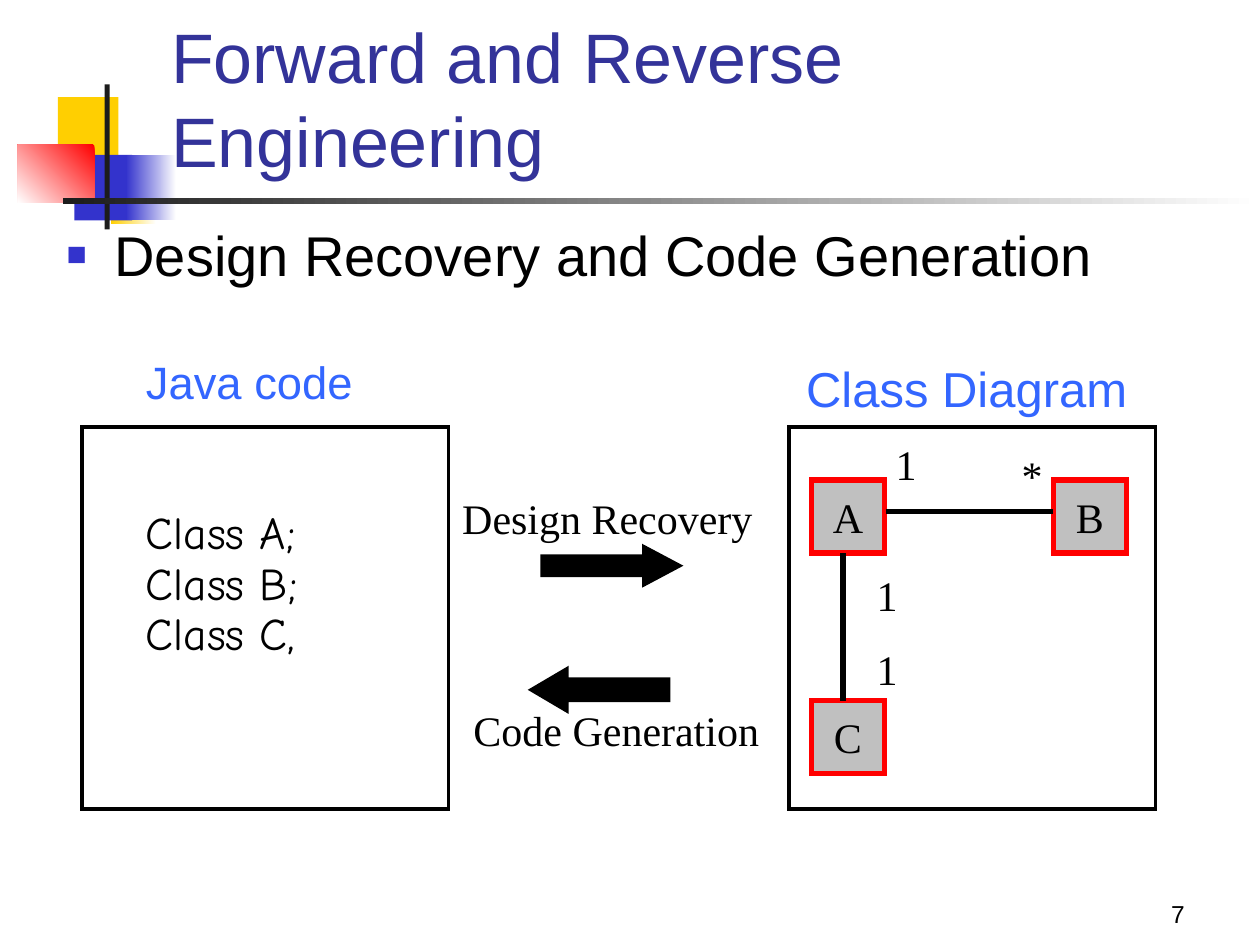
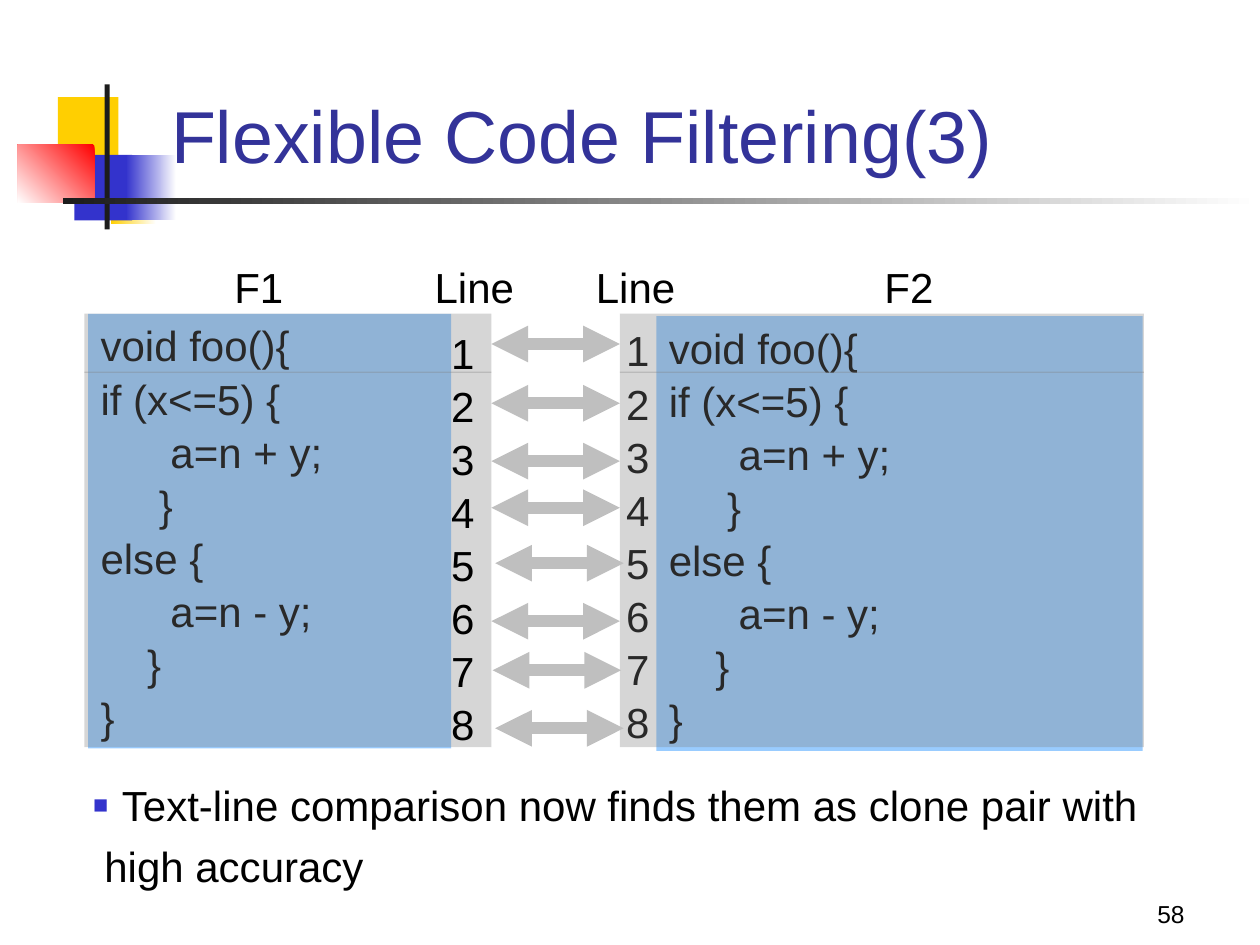
from dataclasses import dataclass

from lxml.etree import SubElement
from pptx import Presentation
from pptx.dml.color import RGBColor
from pptx.enum.shapes import MSO_CONNECTOR, MSO_SHAPE
from pptx.enum.text import MSO_ANCHOR, PP_ALIGN
from pptx.oxml.ns import qn
from pptx.util import Inches, Pt


@dataclass(frozen=True)
class Theme:
    black: str = "000000"
    white: str = "FFFFFF"
    ink: str = "1C1C1C"
    title: str = "333399"
    blue: str = "3333CC"
    gold: str = "FFCF01"
    red: str = "FF0000"
    label: str = "3366FF"
    node: str = "C0C0C0"
    code: str = "99CCFF"
    veil: str = "808080"
    arrow: str = "BFBFBF"
    sans: str = "Arial"
    serif: str = "Times New Roman"
    comic: str = "Comic Neue"
    large: float = 42
    head: float = 40
    lead: float = 32
    sub: float = 28
    java: float = 25.9
    text: float = 24
    foot: float = 14


class Deck:
    def __init__(self, theme):
        self.theme = theme
        self.file = Presentation()
        self.file.slide_width = Inches(10)
        self.file.slide_height = Inches(7.5)
        self.slide = None

    def page(self, title, number, size, bottom):
        """Start a slide with the shared ornament, title and page number."""
        t = self.theme
        self.slide = self.file.slides.add_slide(self.file.slide_layouts[6])
        self.box(0.46, 0.77, 0.48, 0.52, t.gold)
        self.fade(0.88, 1.26, 0.36, 0.52, t.white, t.gold)
        self.box(0.59, 1.23, 0.46, 0.52, t.blue)
        self.fade(1, 1.23, 0.4, 0.52, t.white, t.blue)
        self.fade(0.14, 1.15, 0.61, 0.46, t.red, t.white, 225)
        self.box(0.83, 0.67, 0.04, 1.15, t.ink)
        self.fade(0.5, 1.57, 9.5, 0.05, t.white, t.ink)
        self.text(7.42, 6.92, 2.08, 0.5, [number], t.foot,
                  align=PP_ALIGN.RIGHT, anchor=MSO_ANCHOR.BOTTOM)
        self.text(1.26, 0.15, 8.52, bottom - 0.15, [title], size, t.title,
                  anchor=MSO_ANCHOR.BOTTOM)

    def box(self, x, y, w, h, fill=None, line=None, width=0,
            kind=MSO_SHAPE.RECTANGLE):
        shape = self.slide.shapes.add_shape(
            kind, Inches(x), Inches(y), Inches(w), Inches(h))
        shape.shadow.inherit = False
        if fill:
            shape.fill.solid()
            shape.fill.fore_color.rgb = RGBColor.from_string(fill)
        else:
            shape.fill.background()
        if line:
            shape.line.color.rgb = RGBColor.from_string(line)
            shape.line.width = Pt(width)
            SubElement(shape.line._ln, qn("a:miter"), lim="800000")
        else:
            shape.line.fill.background()
        return shape

    def fade(self, x, y, w, h, start, end, angle=180):
        shape = self.box(x, y, w, h)
        shape.fill.gradient()
        shape.fill.gradient_angle = angle
        for stop, color in zip(shape.fill.gradient_stops, (start, end)):
            stop.color.rgb = RGBColor.from_string(color)

    def veil(self, x, y, w, h):
        """Lay a translucent grey sheet over what is below."""
        shape = self.box(x, y, w, h, self.theme.veil)
        color = shape._element.spPr.find(".//" + qn("a:srgbClr"))
        SubElement(color, qn("a:alpha"), val="32000")

    def arrow(self, kind, x, y, w, h, head):
        black = self.theme.black
        shape = self.box(x, y, w, h, black, black, 3, kind)
        shape.adjustments[1] = head

    def line(self, x1, y1, x2, y2, color, width, heads=False):
        link = self.slide.shapes.add_connector(
            MSO_CONNECTOR.STRAIGHT,
            Inches(x1), Inches(y1), Inches(x2), Inches(y2))
        link.line.color.rgb = RGBColor.from_string(color)
        link.line.width = Pt(width)
        if heads:
            for end in ("a:headEnd", "a:tailEnd"):
                SubElement(link.line._ln, qn(end), type="triangle")
        SubElement(link._element.spPr, qn("a:effectLst"))

    def text(self, x, y, w, h, lines, size, color=None, **style):
        shape = self.slide.shapes.add_textbox(
            Inches(x), Inches(y), Inches(w), Inches(h))
        return self.fill(shape, lines, size, color, **style)

    def fill(self, shape, lines, size, color=None, font=None, inset=0.1,
             align=PP_ALIGN.LEFT, anchor=MSO_ANCHOR.TOP, gap=0, pitch=None):
        """Write the lines into a shape; return its paragraphs."""
        frame = shape.text_frame
        frame.text = "\n".join(lines)
        frame.word_wrap = True
        frame.vertical_anchor = anchor
        frame.margin_left = frame.margin_right = Inches(inset)
        frame.margin_top = frame.margin_bottom = Inches(0.05)
        for i, para in enumerate(frame.paragraphs):
            para.alignment = align
            para.space_before = Pt(gap if i else 0)
            if pitch:
                para.line_spacing = pitch
            for run in para.runs:
                run.font.size = Pt(size)
                run.font.name = font or self.theme.sans
                run.font.color.rgb = RGBColor.from_string(
                    color or self.theme.black)
        return frame.paragraphs

    def bullet(self, para, indent):
        props = para._p.get_or_add_pPr()
        props.set("marL", str(Inches(indent)))
        props.set("indent", str(-Inches(indent)))
        color = SubElement(props, qn("a:buClr"))
        SubElement(color, qn("a:srgbClr"), val=self.theme.blue)
        SubElement(props, qn("a:buSzPct"), val="60000")
        SubElement(props, qn("a:buFont"), typeface=self.theme.sans)
        SubElement(props, qn("a:buChar"), char="■")

    def node(self, x, y, name):
        t = self.theme
        shape = self.box(x, y, 0.58, 0.58, t.node, t.red, 3)
        self.fill(shape, [name], t.text, font=t.serif,
                  align=PP_ALIGN.CENTER, anchor=MSO_ANCHOR.MIDDLE)

    def note(self, x, y, w, words):
        self.text(x, y, w, 0.5, [words], self.theme.text,
                  font=self.theme.serif)


def forward(deck):
    t = deck.theme
    deck.page("Forward and Reverse Engineering", "7", t.head, 1.49)
    topic = deck.text(0.43, 1.7, 9.29, 0.7,
                      ["Design Recovery and Code Generation"], t.lead)
    deck.bullet(topic[0], 0.38)

    deck.text(1.06, 2.76, 2.29, 0.5, ["Java code"], t.java, t.label)
    deck.text(1.06, 3.98, 2.29, 1.4, ["Class A;", "Class B;", "Class C,"],
              t.java, font=t.comic, pitch=Pt(29))
    deck.text(6.3, 2.8, 3.1, 0.57, ["Class Diagram"], t.sub, t.label)

    for x, y, name in ((6.44, 3.81, "A"), (6.44, 5.56, "C"),
                       (8.36, 3.81, "B")):
        deck.node(x, y, name)
    deck.line(7.03, 4.06, 8.36, 4.06, t.black, 3)
    deck.line(6.69, 4.39, 6.69, 5.56, t.black, 3)
    for x, y, count in ((6.86, 4.47, "1"), (6.86, 5.06, "1"),
                        (7.01, 3.43, "1"), (8.01, 3.52, "*")):
        deck.note(x, y, 0.4, count)

    deck.arrow(MSO_SHAPE.RIGHT_ARROW, 4.31, 4.35, 1.07, 0.28, 0.94)
    deck.note(3.57, 3.86, 2.8, "Design Recovery")
    deck.arrow(MSO_SHAPE.LEFT_ARROW, 4.23, 5.32, 1.07, 0.31, 0.85)
    deck.note(3.66, 5.54, 2.8, "Code Generation")
    for x in (6.26, 0.65):
        deck.box(x, 3.39, 2.91, 3.03, line=t.black, width=2)


def flexible(deck):
    t = deck.theme
    deck.page("Flexible Code Filtering(3)", "58", t.large, 1.46)
    code = ["void foo(){", "if (x<=5) {", "      a=n + y;", "     }",
            "else {", "      a=n - y;", "    }", "}"]
    count = [str(n + 1) for n in range(len(code))]

    def block(x, y, w):
        deck.fill(deck.box(x, y, w, 3.45, t.code), code, t.text, gap=1.5)

    def index(x, y):
        deck.text(x, y, 0.43, 3.45, count, t.text, inset=0, gap=1.5)

    for x, name in ((1.86, "F1"), (3.45, "Line"), (4.73, "Line"),
                    (7.02, "F2")):
        deck.text(x, 2.03, 0.8, 0.5, [name], t.text, inset=0)
    block(0.7, 2.49, 2.88)
    index(4.97, 2.53)
    block(5.21, 2.51, 3.86)
    for x, w in ((0.67, 3.23), (4.92, 4.16)):
        deck.veil(x, 2.95, w, 2.98)
        deck.veil(x, 2.49, w, 0.47)
    index(3.58, 2.55)

    for x, y in ((3.9, 2.73), (3.9, 3.2), (3.9, 3.66), (3.9, 4.03),
                 (3.93, 4.47), (3.9, 4.93), (3.91, 5.32), (3.93, 5.78)):
        deck.line(x, y, x + 1.02, y, t.arrow, 7, heads=True)

    first, rest = deck.text(
        0.64, 6.14, 8.8, 0.99,
        ["Text-line comparison now finds them as clone pair with",
         "high accuracy"], t.text, gap=6)
    deck.bullet(first, 0.23)
    rest._p.get_or_add_pPr().set("marL", str(Inches(0.09)))


def main():
    deck = Deck(Theme())
    forward(deck)
    flexible(deck)
    deck.file.save("out.pptx")


if __name__ == "__main__":
    main()
